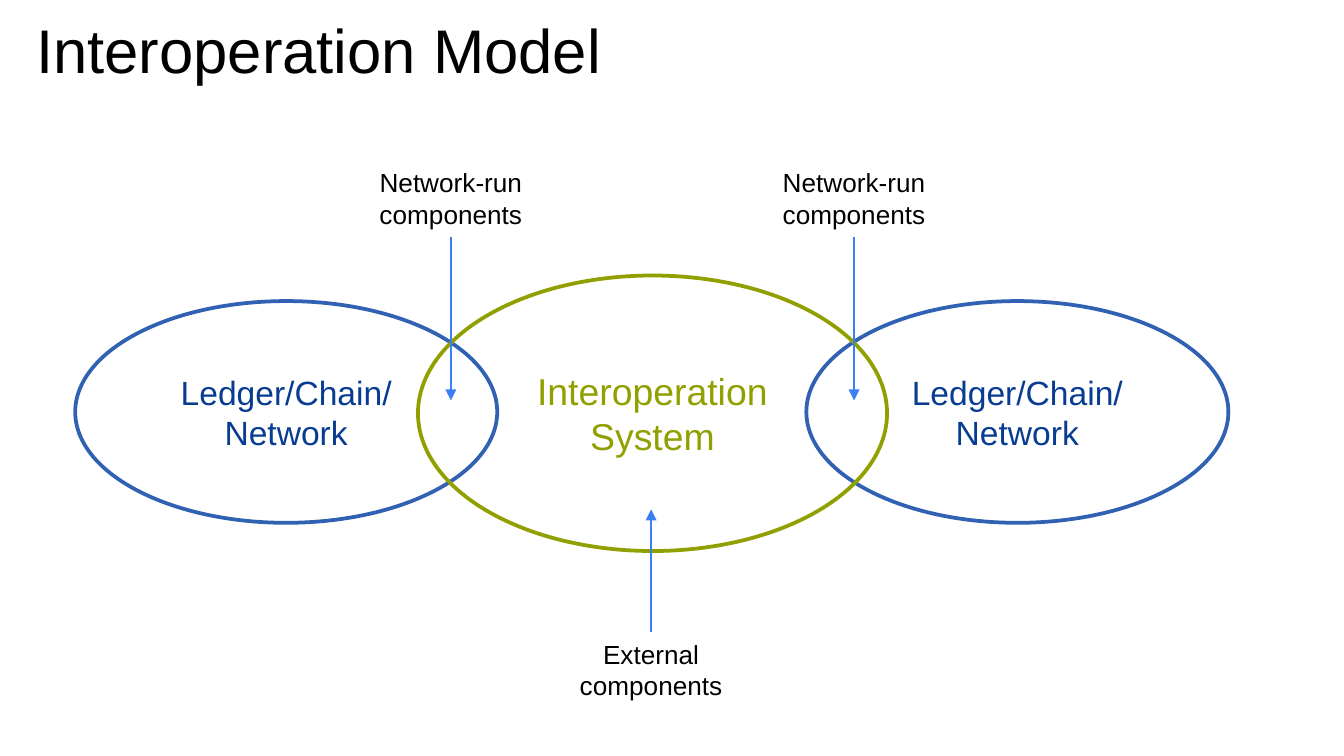
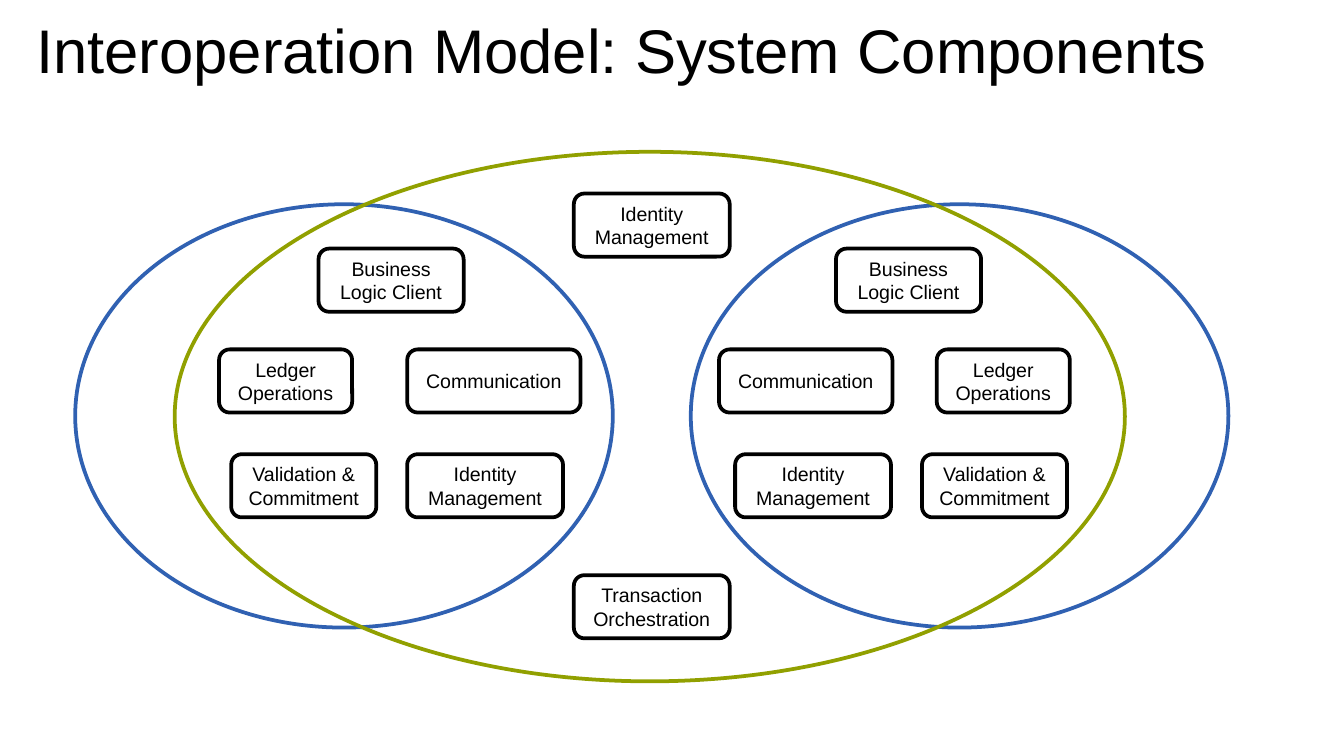
from lxml.etree import SubElement
from pptx import Presentation
from pptx.dml.color import RGBColor
from pptx.enum.shapes import MSO_CONNECTOR, MSO_SHAPE
from pptx.enum.text import MSO_ANCHOR, MSO_AUTO_SIZE, PP_ALIGN
from pptx.oxml.ns import qn
from pptx.util import Inches, Pt

BLACK = RGBColor(0x00, 0x00, 0x00)
NETWORK_BLUE = RGBColor(0x30, 0x61, 0xB2)
NETWORK_TEXT = RGBColor(0x08, 0x3C, 0x92)
SYSTEM_GREEN = RGBColor(0x91, 0xA0, 0x00)
ARROW_BLUE = RGBColor(0x3B, 0x7F, 0xF2)
FONT = "Arial"
TITLE_ONLY = 5

NETWORK_LINES = ["Ledger/Chain/", "Network"]
BOX_HEIGHT = 0.47
BOX_WIDTHS = {
    "Identity Management": 1.16,
    "Transaction Orchestration": 1.16,
    "Business Logic Client": 1.08,
    "Communication": 1.29,
    "Ledger Operations": 0.99,
    "Validation & Commitment": 1.08,
}
# Component boxes: top, then (left, name) for each box in the row
BOX_ROWS = [
    (1.44, [(4.27, "Identity Management")]),
    (1.85, [(2.37, "Business Logic Client"), (6.22, "Business Logic Client")]),
    (2.6, [(1.63, "Ledger Operations"), (3.03, "Communication"),
           (5.35, "Communication"), (6.97, "Ledger Operations")]),
    (3.38, [(1.72, "Validation & Commitment"), (3.03, "Identity Management"),
            (5.47, "Identity Management"), (6.86, "Validation & Commitment")]),
    (4.28, [(4.27, "Transaction Orchestration")]),
]


def set_margins(frame, horizontal, vertical):
    frame.margin_left = frame.margin_right = Inches(horizontal)
    frame.margin_top = frame.margin_bottom = Inches(vertical)


def write_lines(frame, lines, size, color, alignment=PP_ALIGN.CENTER):
    """Write each line as its own paragraph."""
    frame.word_wrap = True
    for index, line in enumerate(lines):
        paragraph = frame.paragraphs[0] if index == 0 else frame.add_paragraph()
        paragraph.alignment = alignment
        run = paragraph.add_run()
        run.text = line
        run.font.name = FONT
        run.font.size = Pt(size)
        run.font.color.rgb = color


def add_titled_slide(presentation, title):
    slide = presentation.slides.add_slide(presentation.slide_layouts[TITLE_ONLY])
    shape = slide.shapes.title
    shape.left, shape.top = Inches(0.2), Inches(0.11)
    shape.width, shape.height = Inches(9.58), Inches(0.58)
    frame = shape.text_frame
    frame.auto_size = MSO_AUTO_SIZE.NONE
    frame.vertical_anchor = MSO_ANCHOR.MIDDLE
    set_margins(frame, 0.07, 0.04)
    write_lines(frame, [title], 33, BLACK, PP_ALIGN.LEFT)
    frame.paragraphs[0].line_spacing = 0.9
    return slide


def add_outline(slide, preset, left, top, width, height, color):
    """Add an unfilled shape with a 2 pt line."""
    shape = slide.shapes.add_shape(
        preset, Inches(left), Inches(top), Inches(width), Inches(height))
    shape.shadow.inherit = False
    shape.fill.background()
    shape.line.color.rgb = color
    shape.line.width = Pt(2)
    shape.text_frame.vertical_anchor = MSO_ANCHOR.MIDDLE
    return shape


def add_ellipse(slide, left, top, width, height, color,
                lines=(), size=18, text_color=BLACK):
    shape = add_outline(slide, MSO_SHAPE.OVAL, left, top, width, height, color)
    set_margins(shape.text_frame, 0, 0.05)
    write_lines(shape.text_frame, lines, size, text_color)


def add_component(slide, left, top, name):
    shape = add_outline(slide, MSO_SHAPE.ROUNDED_RECTANGLE,
                        left, top, BOX_WIDTHS[name], BOX_HEIGHT, BLACK)
    set_margins(shape.text_frame, 0.1, 0.05)
    write_lines(shape.text_frame, [name], 10.5, BLACK)


def add_callout(slide, left, top, text, side, tip):
    """Add a label with an arrow from one of its sides to the height tip."""
    width, height = 1.47, 0.57
    label = slide.shapes.add_textbox(
        Inches(left), Inches(top), Inches(width), Inches(height))
    set_margins(label.text_frame, 0.1, 0.05)
    write_lines(label.text_frame, [text], 14, BLACK)
    label.text_frame.auto_size = MSO_AUTO_SIZE.SHAPE_TO_FIT_TEXT

    center = label.left + label.width // 2
    arrow = slide.shapes.add_connector(
        MSO_CONNECTOR.STRAIGHT, center, label.top, center, Inches(tip))
    arrow.begin_connect(label, side)
    arrow.line.color.rgb = ARROW_BLUE
    arrow.line.width = Pt(0.75)
    properties = arrow._element.spPr
    SubElement(properties.find(qn("a:ln")), qn("a:tailEnd"), type="triangle")
    SubElement(properties, qn("a:effectLst"))


def build_model_slide(presentation):
    slide = add_titled_slide(presentation, "Interoperation Model")
    for left in (0.56, 6):
        add_ellipse(slide, left, 2.24, 3.14, 1.65, NETWORK_BLUE,
                    NETWORK_LINES, 18, NETWORK_TEXT)
    add_ellipse(slide, 3.11, 2.05, 3.49, 2.05, SYSTEM_GREEN,
                ["Interoperation System"], 20, SYSTEM_GREEN)
    for left in (2.62, 5.62):
        add_callout(slide, left, 1.19, "Network-run components", 2, 2.98)
    add_callout(slide, 4.11, 4.7, "External components", 0, 3.79)


def build_components_slide(presentation):
    slide = add_titled_slide(presentation, "Interoperation Model: System Components")
    for left in (0.56, 5.14):
        add_ellipse(slide, left, 1.52, 4, 3.15, NETWORK_BLUE)
    add_ellipse(slide, 1.3, 1.13, 7.07, 3.94, SYSTEM_GREEN)
    for top, boxes in BOX_ROWS:
        for left, name in boxes:
            add_component(slide, left, top, name)


def main():
    presentation = Presentation()
    presentation.slide_width = Inches(10)
    presentation.slide_height = presentation.slide_width * 9 // 16
    build_model_slide(presentation)
    build_components_slide(presentation)
    presentation.save("out.pptx")


if __name__ == "__main__":
    main()
